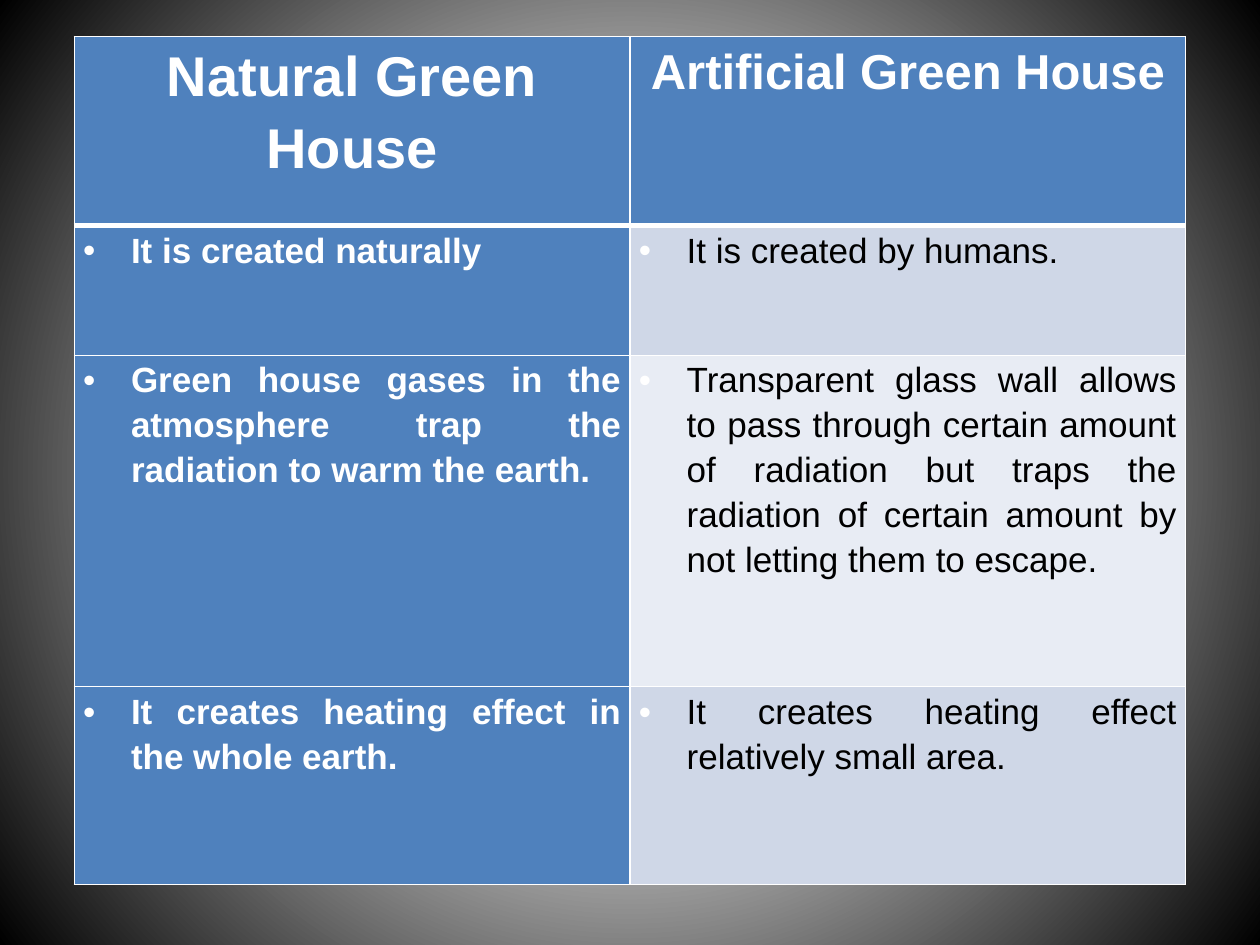
from pptx import Presentation
from pptx.dml.color import RGBColor
from pptx.enum.text import PP_ALIGN as Align
from pptx.oxml import parse_xml
from pptx.oxml.ns import nsdecls, qn
from pptx.util import Inches, Pt

HEADINGS = [("Natural Green House", 32), ("Artificial Green House", 28)]
COMPARISONS = [
    ("It is created naturally", "It is created by humans."),
    ("Green house gases in the atmosphere trap the radiation to warm the earth.",
     "Transparent glass wall allows to pass through certain amount of radiation "
     "but traps the radiation of certain amount by not letting them to escape."),
    ("It creates heating effect in the whole earth.",
     "It creates heating effect relatively small area."),
]
COLORS = {"blue": "4F81BD", "band": "CFD7E7", "pale": "E8ECF4",
          "white": "FFFFFF", "black": "000000"}
BACKDROP = [(0, "CACACA"), (40, "C1C1C1"), (100, "000000")]
LEFT, TOP, COLUMN_WIDTH = 0.59, 0.29, 4.41
ROW_HEIGHTS = [1.5, 1.03, 2.63, 1.57]
BODY_SIZE = 20
BULLET_INDENT = Inches(0.38)


def set_backdrop(slide):
    """Fill the background with a gradient that darkens from the centre."""
    slide.background.fill.solid()
    solid = next(slide.element.iter(qn("a:solidFill")))
    stops = "".join(f'<a:gs pos="{pos * 1000}"><a:srgbClr val="{color}"/></a:gs>'
                    for pos, color in BACKDROP)
    solid.getparent().replace(solid, parse_xml(
        f'<a:gradFill {nsdecls("a")} rotWithShape="1"><a:gsLst>{stops}</a:gsLst>'
        '<a:path path="circle"><a:fillToRect l="50000" t="50000" r="50000" b="50000"/>'
        '</a:path></a:gradFill>'))


def set_borders(cell, row):
    widths = {"L": 1, "R": 1, "T": 3 if row == 1 else 1, "B": 3 if row == 0 else 1}
    properties = cell._tc.get_or_add_tcPr()
    for side, width in widths.items():
        properties.append(parse_xml(
            f'<a:ln{side} {nsdecls("a")} w="{Pt(width)}"><a:solidFill>'
            f'<a:srgbClr val="{COLORS["white"]}"/></a:solidFill></a:ln{side}>'))


def add_bullet(paragraph):
    properties = paragraph._p.get_or_add_pPr()
    properties.set("marL", str(BULLET_INDENT))
    properties.set("indent", str(-BULLET_INDENT))
    for xml in (f'<a:buClr {nsdecls("a")}><a:srgbClr val="{COLORS["white"]}"/></a:buClr>',
                f'<a:buFont {nsdecls("a")} typeface="Arial"/>',
                f'<a:buChar {nsdecls("a")} char="•"/>'):
        properties.append(parse_xml(xml))


def fill_cell(cell, row, column, text, size):
    is_heading = row == 0
    emphasized = is_heading or column == 0
    set_borders(cell, row)
    cell.fill.solid()
    fill = "blue" if emphasized else "band" if row % 2 else "pale"
    cell.fill.fore_color.rgb = RGBColor.from_string(COLORS[fill])
    cell.margin_left = cell.margin_right = Inches(0.07)
    cell.margin_top = cell.margin_bottom = 0

    paragraph = cell.text_frame.paragraphs[0]
    paragraph.alignment = Align.CENTER if is_heading else Align.JUSTIFY
    paragraph.line_spacing = 1.15
    if not is_heading:
        add_bullet(paragraph)
    run = paragraph.add_run()
    run.text = text
    run.font.name = "Arial"
    run.font.size = Pt(size)
    run.font.bold = emphasized
    run.font.color.rgb = RGBColor.from_string(COLORS["white" if emphasized else "black"])


def main():
    prs = Presentation()
    prs.slide_width, prs.slide_height = Inches(10), Inches(7.5)
    slide = prs.slides.add_slide(prs.slide_layouts[6])
    set_backdrop(slide)

    rows = [HEADINGS] + [[(text, BODY_SIZE) for text in pair] for pair in COMPARISONS]
    table = slide.shapes.add_table(
        len(rows), len(HEADINGS), Inches(LEFT), Inches(TOP),
        Inches(COLUMN_WIDTH * len(HEADINGS)), Inches(sum(ROW_HEIGHTS))).table
    for column in table.columns:
        column.width = Inches(COLUMN_WIDTH)
    for row, (entries, height) in enumerate(zip(rows, ROW_HEIGHTS)):
        table.rows[row].height = Inches(height)
        for column, (text, size) in enumerate(entries):
            fill_cell(table.cell(row, column), row, column, text, size)

    prs.save("out.pptx")


if __name__ == "__main__":
    main()
